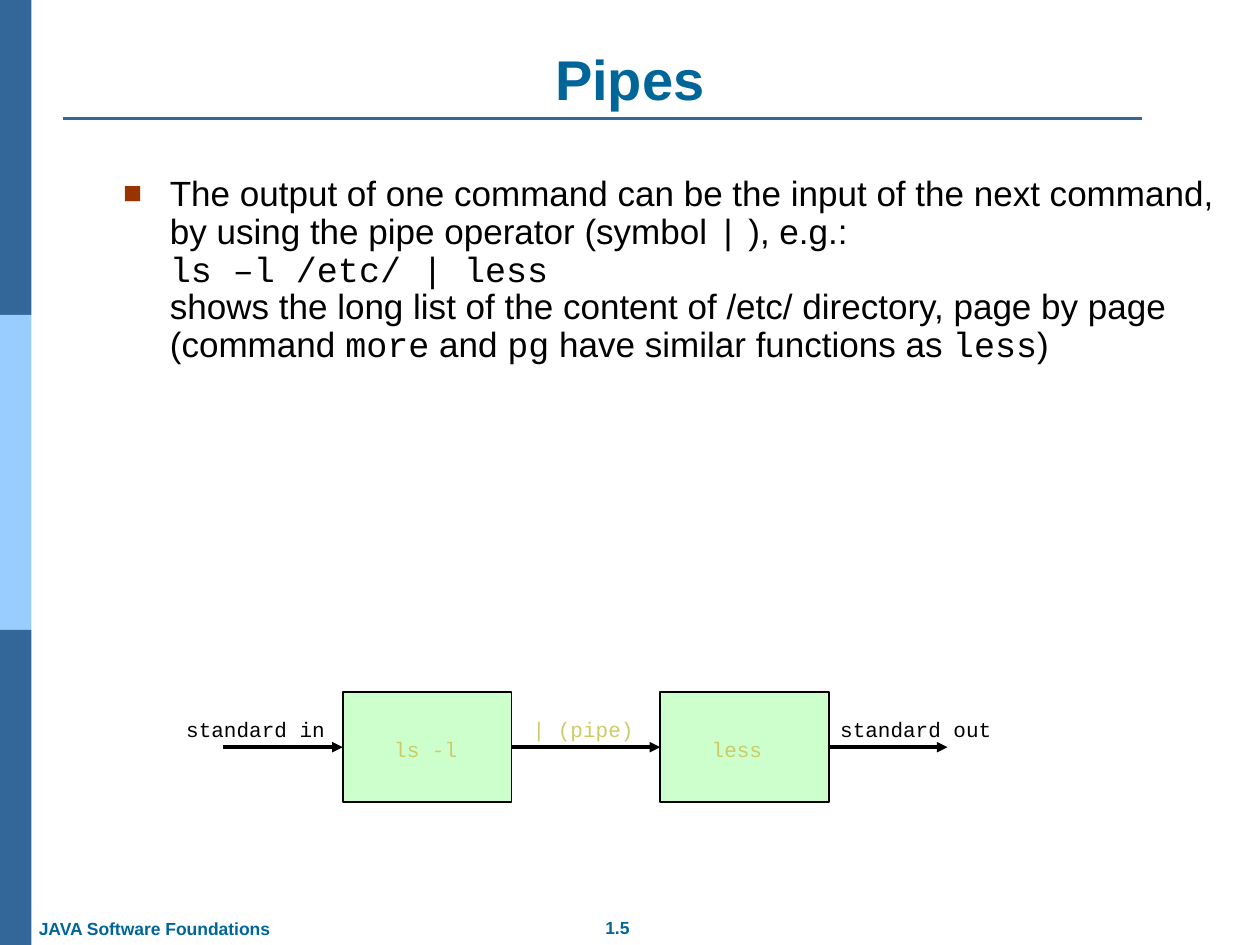
from dataclasses import dataclass

from lxml import etree
from pptx import Presentation
from pptx.dml.color import RGBColor
from pptx.enum.shapes import MSO_CONNECTOR, MSO_SHAPE
from pptx.enum.text import MSO_ANCHOR, PP_ALIGN
from pptx.oxml.ns import qn
from pptx.util import Inches, Pt

RECTANGLE = MSO_SHAPE.RECTANGLE
STRAIGHT = MSO_CONNECTOR.STRAIGHT
LEFT, CENTER = PP_ALIGN.LEFT, PP_ALIGN.CENTER
TOP, BOTTOM = MSO_ANCHOR.TOP, MSO_ANCHOR.BOTTOM
LEFT_SIDE, RIGHT_SIDE = 1, 3


@dataclass(frozen=True)
class Theme:
    sans: str = "Arial"
    mono: str = "Courier New"
    title_size: int = 32
    body_size: int = 20
    label_size: int = 12
    footer_size: int = 10
    heading: str = "006699"
    stripe: str = "336699"
    light_stripe: str = "99CCFF"
    ink: str = "000000"
    bullet: str = "993300"
    process: str = "CCFFCC"
    accent: str = "CCCC66"


class SlideBuilder:
    """Draws themed elements on the current slide."""

    def __init__(self, page, theme):
        self.page = page
        self.theme = theme

    def rectangle(self, left, top, width, height, fill, line=None):
        box = self.page.shapes.add_shape(
            RECTANGLE, Inches(left), Inches(top), Inches(width), Inches(height))
        box.shadow.inherit = False
        box.fill.solid()
        box.fill.fore_color.rgb = RGBColor.from_string(fill)
        if line:
            box.line.color.rgb = RGBColor.from_string(line)
            box.line.width = Pt(1)
        else:
            box.line.fill.background()
        return box

    def line(self, start, end, color, width):
        connector = self.page.shapes.add_connector(
            STRAIGHT, *(Inches(value) for value in (*start, *end)))
        connector.line.color.rgb = RGBColor.from_string(color)
        connector.line.width = Pt(width)
        etree.SubElement(connector._element.spPr, qn("a:effectLst"))
        return connector

    def arrow(self, start, end, source=None, target=None):
        connector = self.line(start, end, self.theme.ink, 2)
        if source:
            connector.begin_connect(source, RIGHT_SIDE)
        if target:
            connector.end_connect(target, LEFT_SIDE)
        outline = connector.line._get_or_add_ln()
        etree.SubElement(outline, qn("a:tailEnd"), type="triangle")

    def span(self, para, text, font, size, color, bold=False):
        span = para.add_run()
        span.text = text
        span.font.name = font
        span.font.size = Pt(size)
        span.font.bold = bold
        span.font.color.rgb = RGBColor.from_string(color)

    def text_box(self, left, top, width, height, align=LEFT, anchor=TOP, wrap=True):
        box = self.page.shapes.add_textbox(
            Inches(left), Inches(top), Inches(width), Inches(height))
        box.text_frame.word_wrap = wrap
        box.text_frame.vertical_anchor = anchor
        para = box.text_frame.paragraphs[0]
        para.alignment = align
        return para

    def heading(self, text, left, top, width, height, size, align=LEFT, anchor=TOP):
        para = self.text_box(left, top, width, height, align, anchor)
        self.span(para, text, self.theme.sans, size, self.theme.heading, True)

    def label(self, text, left, top, width, color):
        para = self.text_box(left, top, width, 0.3, wrap=False)
        self.span(para, text, self.theme.mono, self.theme.label_size, color)

    def bullet(self, left, top, width, height, lines):
        theme = self.theme
        para = self.text_box(left, top, width, height)
        para.line_spacing = 0.9
        properties = para._p.get_or_add_pPr()
        properties.set("marL", str(Inches(0.37)))
        properties.set("indent", str(Inches(-0.37)))
        color = etree.SubElement(properties, qn("a:buClr"))
        etree.SubElement(color, qn("a:srgbClr"), val=theme.bullet)
        etree.SubElement(properties, qn("a:buSzPct"), val="90000")
        etree.SubElement(properties, qn("a:buFont"), typeface=theme.sans)
        etree.SubElement(properties, qn("a:buChar"), char="■")
        for index, spans in enumerate(lines):
            if index:
                para.add_line_break()
            for text, font in spans:
                self.span(para, text, font, theme.body_size, theme.ink)


def main():
    deck = Presentation()
    deck.slide_width, deck.slide_height = Inches(10), Inches(7.5)
    theme = Theme()
    slide = SlideBuilder(deck.slides.add_slide(deck.slide_layouts[6]), theme)

    for index, color in enumerate((theme.stripe, theme.light_stripe, theme.stripe)):
        slide.rectangle(0, 2.5 * index, 0.25, 2.5, color)
    slide.line((0.5, 0.94), (9.06, 0.94), theme.stripe, 1.5)

    slide.heading("1.5", 4.41, 7.23, 0.98, 0.27, theme.footer_size, CENTER)
    slide.heading("JAVA Software Foundations", 0.21, 7.24, 2.06, 0.27, theme.footer_size)
    slide.heading("Pipes", 0.5, 0.3, 9, 0.64, theme.title_size, CENTER, BOTTOM)

    sans, mono = theme.sans, theme.mono
    slide.bullet(0.88, 1.35, 9, 3.68, [
        [("The output of one command can be the input of the next command, "
          "by using the pipe operator (symbol ", sans), ("|", mono), (" ), e.g.:", sans)],
        [("ls –l /etc/ | less", mono)],
        [("shows the long list of the content of /etc/ directory, "
          "page by page (command ", sans), ("more", mono), (" and ", sans), ("pg", mono),
         (" have similar functions as ", sans), ("less", mono), (")", sans)],
    ])

    box_width, box_height, flow_y = 1.34, 0.87, 5.93
    processes = []
    for command, left in (("ls -l", 2.72), ("less", 5.24)):
        processes.append(slide.rectangle(
            left, flow_y - box_height / 2, box_width, box_height, theme.process, theme.ink))
        slide.label(command, left + 0.31, 5.8, 0.71, theme.accent)
    listing, pager = processes
    slide.arrow((1.77, flow_y), (2.72, flow_y), target=listing)
    slide.arrow((4.06, flow_y), (5.24, flow_y), listing, pager)
    slide.arrow((6.58, flow_y), (7.52, flow_y), source=pager)

    for text, left, width, color in (
            ("standard in", 1.38, 1.34, theme.ink),
            ("| (pipe)", 4.13, 1.1, theme.accent),
            ("standard out", 6.57, 2.13, theme.ink)):
        slide.label(text, left, 5.64, width, color)

    deck.save("out.pptx")


if __name__ == "__main__":
    main()
